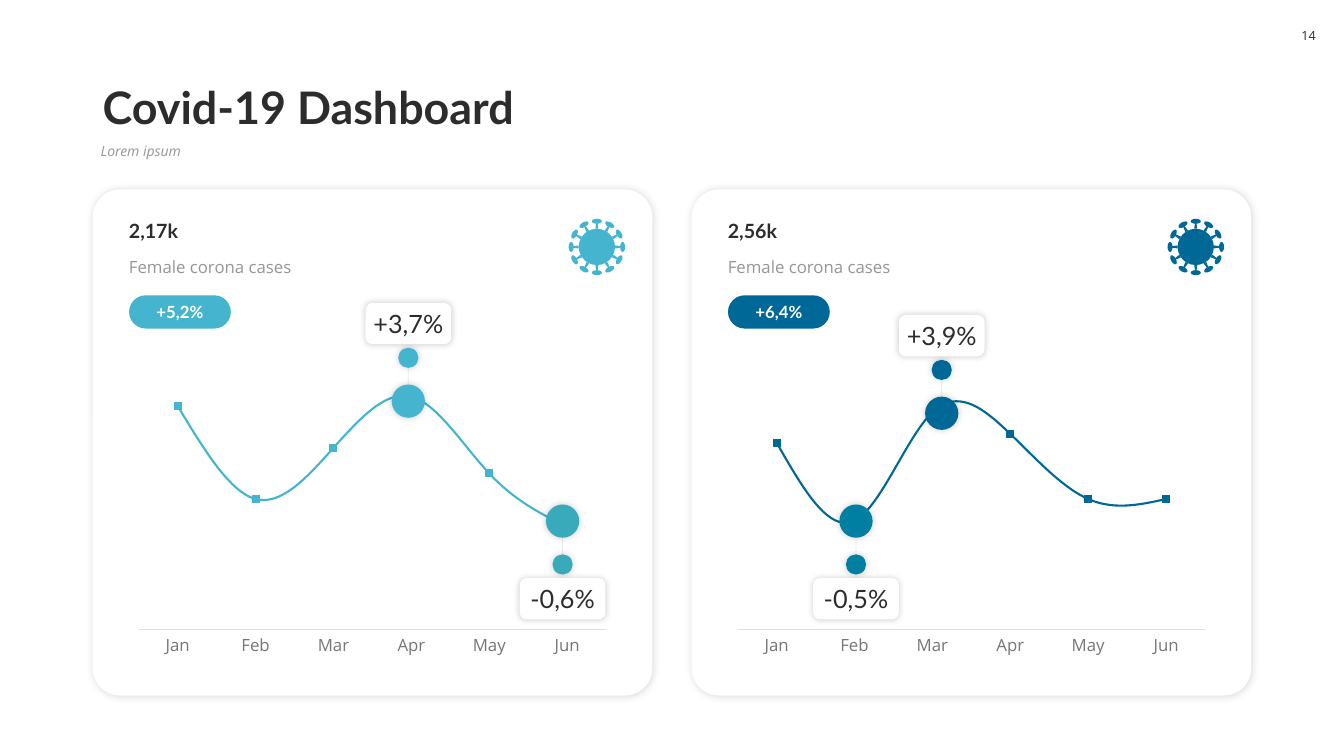
from math import cos, radians, sin

from lxml.etree import SubElement
from pptx import Presentation
from pptx.chart.data import CategoryChartData
from pptx.dml.color import RGBColor
from pptx.enum.chart import XL_CHART_TYPE as ChartType, XL_TICK_MARK as TickMark
from pptx.enum.shapes import MSO_CONNECTOR as Connector, MSO_SHAPE as Shape
from pptx.enum.text import MSO_ANCHOR as Anchor, PP_ALIGN as Align
from pptx.oxml import parse_xml
from pptx.oxml.ns import nsdecls, qn
from pptx.util import Inches, Pt

INK, GREY, AXIS_TEXT, AXIS_LINE, WHITE = "2C2C2C", "969696", "767676", "DFDFDF", "FFFFFF"
HEADING, BODY = "Lato", "Open Sans"
MONTHS = ["Jan", "Feb", "Mar", "Apr", "May", "Jun"]
CARD_STEP = 5.94


def color(hex_value):
    return RGBColor.from_string(hex_value)


def write(frame, text, size=12, font=BODY, ink=INK, bold=False, italic=False,
          align=Align.LEFT, anchor=Anchor.TOP, insets=(0.1, 0.05), wrap=True, spacing=None):
    frame.word_wrap = wrap
    frame.vertical_anchor = anchor
    frame.margin_left = frame.margin_right = Inches(insets[0])
    frame.margin_top = frame.margin_bottom = Inches(insets[1])
    paragraph = frame.paragraphs[0]
    paragraph.alignment = align
    paragraph.line_spacing = spacing
    run = paragraph.add_run()
    run.text = text
    run.font.size, run.font.name = Pt(size), font
    run.font.bold, run.font.italic = bold, italic
    run.font.color.rgb = color(ink)


class Dashboard:
    """Holds the current slide and draws its kinds of element."""

    def __init__(self, slide):
        self.shapes = slide.shapes

    def label(self, x, y, w, h, text, **style):
        box = self.shapes.add_textbox(Inches(x), Inches(y), Inches(w), Inches(h))
        write(box.text_frame, text, **style)

    def shape(self, kind, x, y, w, h, fill, radius=None, shadow=None, into=None):
        """Shadow is (opacity %, blur pt, distance pt); into is a group's shapes."""
        item = (into or self.shapes).add_shape(kind, Inches(x), Inches(y), Inches(w), Inches(h))
        item.fill.solid()
        item.fill.fore_color.rgb = color(fill)
        item.line.fill.background()
        item.shadow.inherit = False
        if radius is not None:
            item.adjustments[0] = radius
        if shadow:
            opacity, blur, distance = shadow
            item._element.spPr.find(qn("a:effectLst")).append(parse_xml(
                f'<a:outerShdw {nsdecls("a")} blurRad="{Pt(blur)}" dist="{Pt(distance)}" '
                f'dir="2700000" algn="tl" rotWithShape="0"><a:srgbClr val="000000">'
                f'<a:alpha val="{opacity * 1000}"/></a:srgbClr></a:outerShdw>'))
        return item

    def centered(self, kind, cx, cy, w, h, fill, **options):
        return self.shape(kind, cx - w / 2, cy - h / 2, w, h, fill, **options)

    def stem(self, x, y1, y2):
        line = self.shapes.add_connector(
            Connector.STRAIGHT, Inches(x), Inches(y1), Inches(x), Inches(y2))
        line.line.width = Pt(0.5)
        line.line.color.rgb = color(INK)
        properties = line._element.spPr
        ink = next(properties.iter(qn("a:srgbClr")))
        SubElement(ink, qn("a:alpha")).set("val", "10000")
        SubElement(properties, qn("a:effectLst"))

    def callout(self, x, y, text, fill, side):
        """Marks a point of the curve; side is -1 for a label above, 1 for below."""
        soft = (20, 5, 0)
        self.centered(Shape.OVAL, x, y, 0.33, 0.33, fill, shadow=soft)
        self.stem(x, y + side * 0.17, y + side * 0.33)
        self.centered(Shape.OVAL, x, y + side * 0.43, 0.2, 0.2, fill, shadow=soft)
        tag = self.centered(Shape.ROUNDED_RECTANGLE, x, y + side * 0.77, 0.85, 0.41,
                            WHITE, shadow=soft)
        write(tag.text_frame, text, size=18, font=HEADING, align=Align.CENTER,
              anchor=Anchor.MIDDLE, insets=(0.04, 0.05))

    def virus(self, cx, cy, fill):
        parts = self.shapes.add_group_shape().shapes
        self.centered(Shape.OVAL, cx, cy, 0.36, 0.36, fill, into=parts)
        for angle in range(0, 360, 30):
            dx, dy = sin(radians(angle)), -cos(radians(angle))
            for kind, reach, w, h, slope in ((Shape.OVAL, 0.255, 0.1, 0.05, None),
                                             (Shape.TRAPEZOID, 0.21, 0.03, 0.06, 0.27)):
                part = self.centered(kind, cx + reach * dx, cy + reach * dy, w, h, fill,
                                     radius=slope, into=parts)
                part.rotation = angle

    def curve(self, x, y, values, top, fill):
        data = CategoryChartData()
        data.categories = MONTHS
        data.add_series("Series 1", values)
        chart = self.shapes.add_chart(
            ChartType.LINE, Inches(x), Inches(y), Inches(4.83), Inches(2.97), data).chart
        chart.has_legend = chart.has_title = False
        chart.font.size, chart.font.name = Pt(12), BODY
        chart.font.color.rgb = color(INK)
        months, cases = chart.category_axis, chart.value_axis
        months.major_tick_mark = months.minor_tick_mark = TickMark.NONE
        months.tick_labels.font.size = Pt(12)
        months.tick_labels.font.name = BODY
        months.tick_labels.font.color.rgb = color(AXIS_TEXT)
        months.format.line.width = Pt(0.75)
        months.format.line.color.rgb = color(AXIS_LINE)
        cases.minimum_scale, cases.maximum_scale = 0, top
        cases.has_major_gridlines = False
        cases.visible = False
        plot = chart.plots[0]
        plot.vary_by_categories = False
        line = plot.series[0]
        line.smooth = True
        line.marker.style = None
        line.format.line.width = Pt(1.5)
        line.format.line.color.rgb = color(fill)
        area = chart._chartSpace.chart.plotArea
        for old in area.findall(qn("c:layout")):
            area.remove(old)
        places = "".join(f'<c:{key} val="{value}"/>' for key, value in (
            ("layoutTarget", "inner"), ("xMode", "edge"), ("yMode", "edge"),
            ("x", 0.02), ("y", 0.02), ("w", 0.96), ("h", 0.87)))
        area.insert(0, parse_xml(f'<c:layout {nsdecls("c")}><c:manualLayout>{places}'
                                 '</c:manualLayout></c:layout>'))

    def card(self, x, total, change, fill, values, top, callouts):
        self.shape(Shape.ROUNDED_RECTANGLE, x, 1.88, 5.55, 5.02, WHITE,
                   radius=0.054, shadow=(15, 6, 1))
        self.label(x + 0.26, 2.11, 5.01, 0.34, total, size=14, font=HEADING, bold=True,
                   anchor=Anchor.BOTTOM)
        self.label(x + 0.26, 2.5, 5.01, 0.3, "Female corona cases", ink=GREY)
        pill = self.shape(Shape.ROUNDED_RECTANGLE, x + 0.36, 2.93, 1.01, 0.33, fill, radius=0.5)
        write(pill.text_frame, change, font=HEADING, ink=WHITE, bold=True,
              align=Align.CENTER, anchor=Anchor.MIDDLE, insets=(0, 0))
        self.curve(x + 0.36, 3.6, values, top, fill)
        for dx, y, text, dot, side in callouts:
            self.callout(x + dx, y, text, dot, side)
        self.virus(x + 5, 2.45, fill)


def main():
    deck = Presentation()
    deck.slide_width, deck.slide_height = Inches(13.33), Inches(7.5)
    board = Dashboard(deck.slides.add_slide(deck.slide_layouts[6]))
    board.label(0.92, 0.58, 11.5, 0.8, "Covid-19 Dashboard", size=32, font=HEADING,
                bold=True, anchor=Anchor.BOTTOM, spacing=0.9)
    board.label(0.9, 1.38, 11.52, 0.36, "Lorem ipsum", size=10, ink=GREY, italic=True,
                spacing=0.9)
    board.label(12.8, 0.18, 0.36, 0.35, "14", size=9, align=Align.CENTER,
                anchor=Anchor.MIDDLE, insets=(0, 0.05), wrap=False)
    cards = [
        ("2,17k", "+5,2%", "45B5CF", (96, 56, 78, 100, 67, 44), 112,
         [(3.13, 3.98, "+3,7%", "45B5CF", -1), (4.66, 5.17, "-0,6%", "39AAB9", 1)]),
        ("2,56k", "+6,4%", "006896", (86, 50, 100, 90, 60, 60), 120,
         [(2.48, 4.1, "+3,9%", "006896", -1), (1.63, 5.17, "-0,5%", "007FA2", 1)]),
    ]
    for index, content in enumerate(cards):
        board.card(0.92 + index * CARD_STEP, *content)
    deck.save("out.pptx")


if __name__ == "__main__":
    main()
